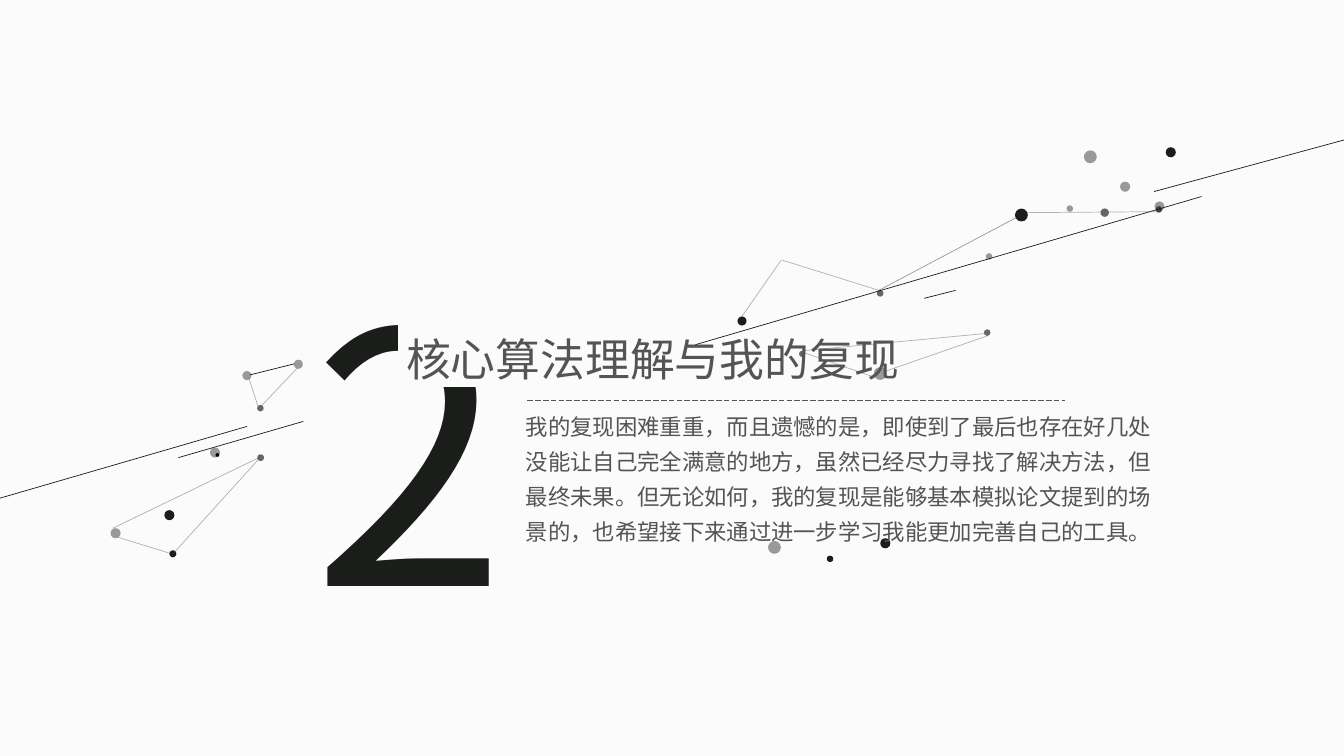
from lxml import etree
from pptx import Presentation
from pptx.dml.color import RGBColor
from pptx.enum import dml, shapes, text
from pptx.oxml import ns
from pptx.util import Pt

FONT = "Noto Sans CJK SC"
HEX = {"paper": "FBFBFB", "ink": "1A1D1A", "text": "545454", "coal": "3D3D3D",
       "mid": "666666", "light": "999999", "black": "000000"}

# Centre x, centre y, diameter
DOTS = {
    "light": [(553.2, 391, 9.2), (778.8, 112, 9.2), (803.7, 133.4, 7.2),
              (828.2, 147.4, 7), (628.7, 266.8, 9.2), (706.5, 183.2, 4.6),
              (764.2, 149, 4.6), (82.6, 380.9, 7.2), (153.6, 323.3, 7.2),
              (176.4, 268.3, 6.5), (213.1, 260.2, 6.5)],
    "mid": [(789.1, 151.9, 6), (705.2, 237.6, 4.6), (628.7, 209.5, 4.8),
            (573, 252.8, 4.3), (186.2, 326.9, 4.8), (186, 291.6, 4.6)],
    "coal": [(827.8, 149.6, 4.6)],
    "ink": [(729.6, 153.6, 9.2), (836.3, 108.8, 7.2), (592.9, 399.2, 4.6),
            (632.4, 388.1, 7.2), (530, 229.3, 6.5), (123.5, 395.6, 5),
            (121, 368, 7.2)],
    "black": [(155.3, 325, 2.6)],
}

# Start x, start y, end x, end y
RAYS = [(-14.4, 360, 176.4, 304.6), (496.8, 246.2, 858.2, 140.4),
        (127.4, 326.9, 216.7, 301), (660.2, 213.1, 682.6, 207.4),
        (824.4, 136.8, 978.5, 95), (178.6, 267.8, 210.2, 259.9)]
WEB = [(529.9, 226.1, 558, 185.8), (627.8, 207.4, 558.7, 185.8),
       (828, 151.2, 733.7, 151.9), (185.8, 326.9, 123.8, 395.3),
       (121.7, 395.3, 84.2, 383.8), (185, 326.9, 80.6, 377.3),
       (574.6, 252, 624.2, 269.3), (573.1, 250.6, 703.4, 238.3),
       (632.9, 265, 705.6, 239.8), (186.5, 290.2, 212.4, 262.8),
       (184.3, 290.2, 177.8, 270)]
ARM = (725.8, 155.5, 627.8, 207.4)

TITLE = "核心算法理解与我的复现"
BODY = ("我的复现困难重重，而且遗憾的是，即使到了最后也存在好几处"
        "没能让自己完全满意的地方，虽然已经尽力寻找了解决方法，但"
        "最终未果。但无论如何，我的复现是能够基本模拟论文提到的场"
        "景的，也希望接下来通过进一步学习我能更加完善自己的工具。")


def rgb(name):
    return RGBColor.from_string(HEX[name])


def add_form(slide, kind, box, color):
    form = slide.shapes.add_shape(kind, *map(Pt, box))
    form.shadow.inherit = False
    form.fill.solid()
    form.fill.fore_color.rgb = rgb(color)
    form.line.fill.background()


def add_dot(slide, x, y, size, color):
    box = (x - size / 2, y - size / 2, size, size)
    add_form(slide, shapes.MSO_SHAPE.OVAL, box, color)


def add_line(slide, ends, color, alpha=None, dash=None):
    """Draw a hairline; alpha is its opacity in percent."""
    line = slide.shapes.add_connector(shapes.MSO_CONNECTOR.STRAIGHT,
                                      *map(Pt, ends))
    line.line.width = Pt(0.5)
    line.line.color.rgb = rgb(color)
    if dash:
        line.line.dash_style = dash
    props = line._element.spPr
    if alpha:
        tint = props.find(".//" + ns.qn("a:srgbClr"))
        etree.SubElement(tint, ns.qn("a:alpha"), val=str(alpha * 1000))
    etree.SubElement(props, ns.qn("a:effectLst"))


def add_text(slide, box, words, size, color, wrap=True, space=None,
             align=text.PP_ALIGN.LEFT, anchor=text.MSO_ANCHOR.TOP):
    frame = slide.shapes.add_textbox(*map(Pt, box)).text_frame
    frame.word_wrap = wrap
    frame.vertical_anchor = anchor
    para = frame.paragraphs[0]
    para.alignment = align
    if space:
        para.line_spacing = space
    run = para.add_run()
    run.text = words
    font = run.font
    font.size = Pt(size)
    font.name = FONT
    font.color.rgb = rgb(color)
    etree.SubElement(font._element, ns.qn("a:ea"), typeface=FONT)


def main():
    deck = Presentation()
    deck.slide_width, deck.slide_height = Pt(960), Pt(540)
    slide = deck.slides.add_slide(deck.slide_layouts[6])
    back = slide.background.fill
    back.solid()
    back.fore_color.rgb = rgb("paper")

    for color, dots in DOTS.items():
        for dot in dots:
            add_dot(slide, *dot, color)

    add_text(slide, (115.2, 39.6, 354.2, 408.2), "2", 250, "ink", space=1.5,
             align=text.PP_ALIGN.CENTER, anchor=text.MSO_ANCHOR.MIDDLE)
    add_form(slide, shapes.MSO_SHAPE.RECTANGLE, (284.4, 231.8, 239, 44.6), "paper")
    add_text(slide, (368.6, 285.8, 463, 133.2), BODY, 16, "text", space=1.3)
    add_text(slide, (283, 233.3, 374.4, 46.1), TITLE, 32, "text", wrap=False)

    add_line(slide, (376.6, 285.8, 761, 285.8), "text",
             dash=dml.MSO_LINE.LONG_DASH)
    for ray in RAYS:
        add_line(slide, ray, "ink")
    for edge in WEB:
        add_line(slide, edge, "text", alpha=43)
    add_line(slide, ARM, "ink", alpha=44)
    deck.save("out.pptx")


if __name__ == "__main__":
    main()
